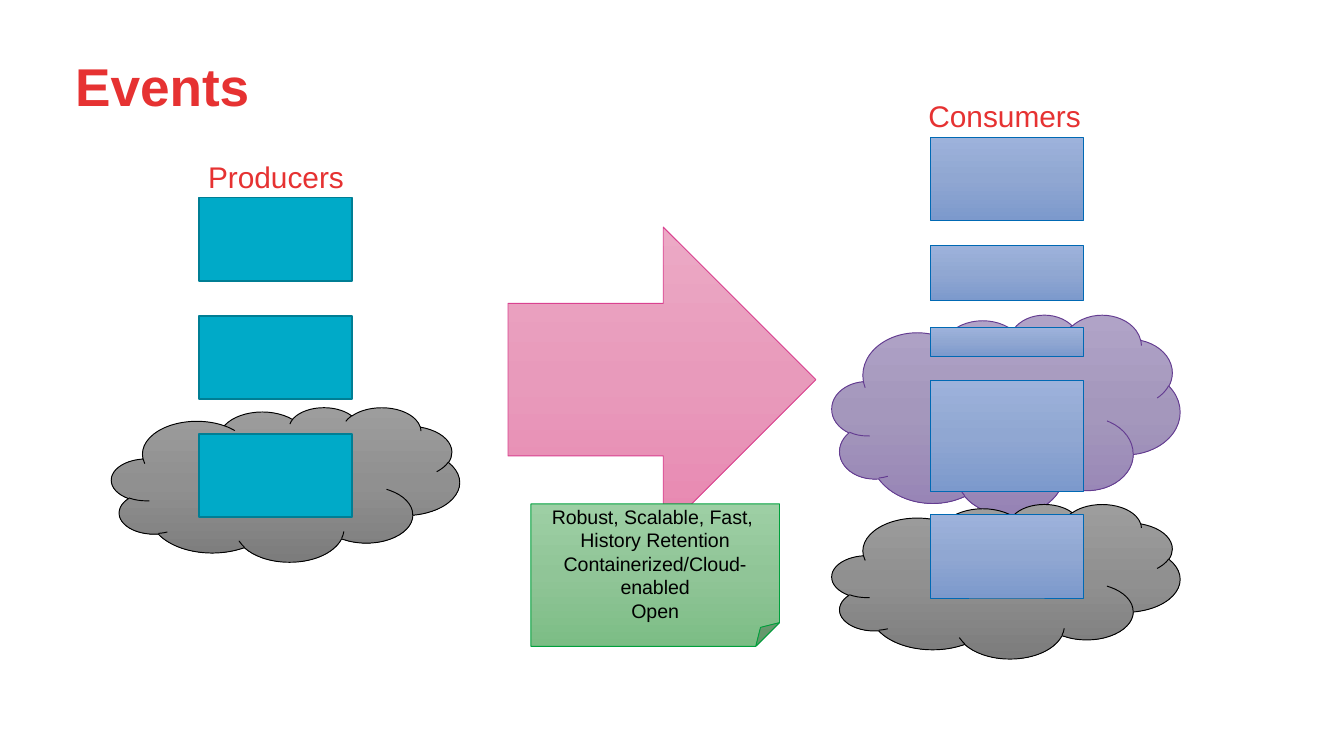
from copy import deepcopy

from pptx import Presentation
from pptx.dml.color import RGBColor
from pptx.enum.shapes import MSO_SHAPE
from pptx.enum.text import MSO_ANCHOR, MSO_AUTO_SIZE, PP_ALIGN
from pptx.oxml.ns import qn
from pptx.util import Inches, Pt

CLOUD, RECT = MSO_SHAPE.CLOUD, MSO_SHAPE.RECTANGLE
ARROW, NOTE = MSO_SHAPE.RIGHT_ARROW, MSO_SHAPE.FOLDED_CORNER
TOP, MIDDLE = MSO_ANCHOR.TOP, MSO_ANCHOR.MIDDLE
LEFT, CENTER = PP_ALIGN.LEFT, PP_ALIGN.CENTER
FIXED, FIT_SHAPE = MSO_AUTO_SIZE.NONE, MSO_AUTO_SIZE.SHAPE_TO_FIT_TEXT

# Content: note paragraphs are lists of lines
TITLE = "Events"
NOTE_TEXT = [
    ["Robust, Scalable, Fast, ", "History Retention"],
    ["Containerized/Cloud-enabled"],
    ["Open"],
]
LABELS = [("Producers", (1.45, 1.13, 1.22, 0.37)),
          ("Consumers", (6.81, 0.68, 1.35, 0.37))]

# Styles: fill colours (one is solid, three are a gradient), line, line width
RED, BLACK = "E63232", "000000"
PURPLE = (["B0A3C7", "A497BC", "9683B5"], "643C91", 0.5)
GREY = (["9D9D9D", "909090", "7C7C7C"], BLACK, 0.5)
BLUE = (["9DB2DB", "90A7D2", "7C99CC"], "0069B4", 0.5)
PINK = (["ECA9C5", "E89ABB", "E887B1"], "DA4290", 0.5)
GREEN = (["9DCFA4", "90C597", "7CBD85"], "00A03C", 0.5)
TEAL = (["00AAC8"], "007E94", 1)

# Layout: a 16:9 page
PAGE_WIDTH = 10
PAGE_HEIGHT = PAGE_WIDTH * 9 / 16
CLOUDS = [((6.19, 2.34, 2.59, 1.49), PURPLE),
          ((6.19, 3.75, 2.59, 1.15), GREY),
          ((0.83, 3.03, 2.59, 1.15), GREY)]
BOX_WIDTH, BOX_HEIGHT = 1.14, 0.62
PRODUCER_LEFT, PRODUCER_TOP, PRODUCER_PITCH, PRODUCER_COUNT = 1.48, 1.47, 0.88, 3
CONSUMER_LEFT = 6.92
CONSUMERS = [(1.02, 0.62), (1.83, 0.41), (2.44, 0.21), (2.83, 0.83), (3.83, 0.62)]


def color(hex_value):
    return RGBColor.from_string(hex_value)


def inches(box):
    return [Inches(value) for value in box]


def paint(shape, fills):
    if len(fills) == 1:
        shape.fill.solid()
        shape.fill.fore_color.rgb = color(fills[0])
        return
    shape.fill.gradient()
    shape.fill.gradient_angle = 270  # counter-clockwise: top to bottom
    stops = shape._element.spPr.find(qn("a:gradFill")).find(qn("a:gsLst"))
    stops.insert(1, deepcopy(stops[0]))
    for stop, position, hex_value in zip(shape.fill.gradient_stops, (0, 0.5, 1), fills):
        stop.position = position
        stop.color.rgb = color(hex_value)


def add_figure(kind, box, style):
    fills, line, width = style
    shape = slide.shapes.add_shape(kind, *inches(box))
    shape.shadow.inherit = False
    paint(shape, fills)
    shape.line.color.rgb = color(line)
    shape.line.width = Pt(width)
    return shape


def write(paragraph, lines, size, hex_value, align, bold=False):
    paragraph.alignment = align
    for number, line in enumerate(lines):
        if number:
            paragraph.add_line_break()
        run = paragraph.add_run()
        run.text = line
        run.font.name = "Arial"
        run.font.size = Pt(size)
        run.font.bold = bold
        run.font.color.rgb = color(hex_value)


presentation = Presentation()
presentation.slide_width = Inches(PAGE_WIDTH)
presentation.slide_height = Inches(PAGE_HEIGHT)
slide = presentation.slides.add_slide(presentation.slide_layouts[5])

# Title
title = slide.shapes.title
title.left, title.top, title.width, title.height = inches((0.56, 0.49, 7.43, 0.78))
title_frame = title.text_frame
title_frame.margin_left = title_frame.margin_right = 0
title_frame.margin_top = title_frame.margin_bottom = 0
title_frame.vertical_anchor = TOP
title_frame.auto_size = FIXED
title_frame.paragraphs[0].line_spacing = 0.8
write(title_frame.paragraphs[0], [TITLE], 28.5, RED, LEFT, bold=True)

# Clouds behind the boxes
for box, style in CLOUDS:
    add_figure(CLOUD, box, style)

# Producer and consumer boxes
for row in range(PRODUCER_COUNT):
    top = PRODUCER_TOP + row * PRODUCER_PITCH
    add_figure(RECT, (PRODUCER_LEFT, top, BOX_WIDTH, BOX_HEIGHT), TEAL)
for top, height in CONSUMERS:
    add_figure(RECT, (CONSUMER_LEFT, top, BOX_WIDTH, height), BLUE)

# Column labels
for label, box in LABELS:
    label_frame = slide.shapes.add_textbox(*inches(box)).text_frame
    label_frame.word_wrap = False
    label_frame.auto_size = FIT_SHAPE
    write(label_frame.paragraphs[0], [label], 16, RED, LEFT)

# Event flow and its qualities
add_figure(ARROW, (3.78, 1.69, 2.29, 2.27), PINK)
note_frame = add_figure(NOTE, (3.95, 3.75, 1.85, 1.06), GREEN).text_frame
note_frame.word_wrap = True
note_frame.vertical_anchor = MIDDLE
for number, lines in enumerate(NOTE_TEXT):
    paragraph = note_frame.add_paragraph() if number else note_frame.paragraphs[0]
    write(paragraph, lines, 10.5, BLACK, CENTER)

presentation.save("out.pptx")
